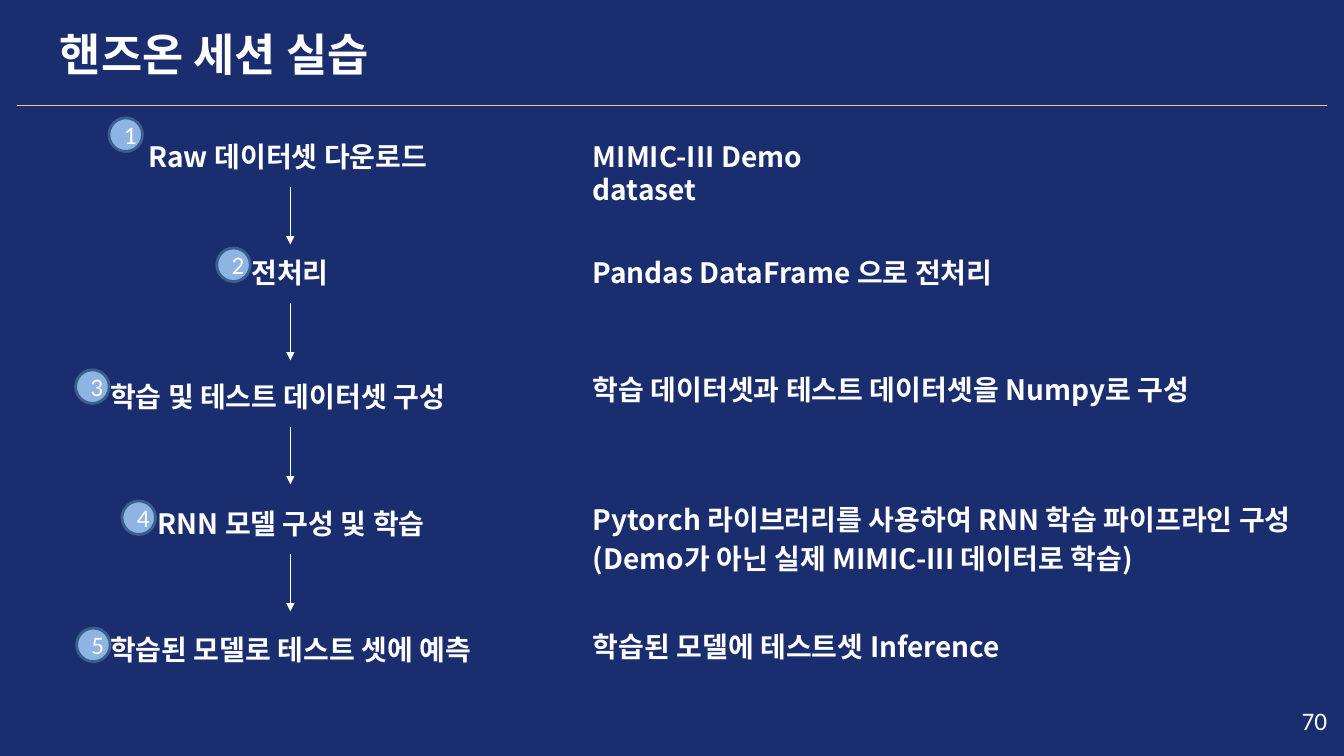
from dataclasses import dataclass

from lxml import etree
from pptx import Presentation
from pptx.dml.color import RGBColor
from pptx.enum import shapes, text
from pptx.oxml import ns
from pptx.util import Pt


@dataclass(frozen=True)
class Theme:
    navy: str = "1A2D6F"
    white: str = "FFFFFF"
    rule: str = "FAC090"
    badge: str = "8EB4E3"
    badge_edge: str = "3A5F8C"
    heading_font: str = "Noto Sans CJK KR"
    number_font: str = "Calibri"
    title_size: int = 32
    body_size: int = 20
    number_size: int = 18


@dataclass(frozen=True)
class Box:
    left: float
    top: float
    width: float
    height: float

    def lengths(self):
        return Pt(self.left), Pt(self.top), Pt(self.width), Pt(self.height)


@dataclass(frozen=True)
class Step:
    top: float
    label: str
    label_left: float
    label_width: float
    badge_left: float
    badge_top: float
    detail_top: float
    details: tuple  # (wording, width) of each line


THEME = Theme()
LINE_HEIGHT = 25.2
DETAIL_LEFT, DETAIL_PITCH = 422.6, 28
ARROW_X, ARROW_DROP, ARROW_LENGTH = 207.4, 35, 41
BADGE_SIZE = 24

STEPS = (
    Step(98.6, "Raw 데이터셋 다운로드", 105.1, 228, 77.8, 84.2, 98.6,
         (("MIMIC-III Demo dataset", 228),)),
    Step(181.4, "전처리", 178.6, 81.4, 154.8, 177.1, 181.4,
         (("Pandas DataFrame 으로 전처리", 294),)),
    Step(270, "학습 및 테스트 데이터셋 구성", 77.8, 258, 54, 264.2, 265,
         (("학습 데이터셋과 테스트 데이터셋을 Numpy로 구성", 480),)),
    Step(360.7, "RNN 모델 구성 및 학습", 111.6, 258, 87.1, 357.8, 357.8,
         (("Pytorch 라이브러리를 사용하여 RNN 학습 파이프라인 구성", 540),
          ("(Demo가 아닌 실제 MIMIC-III 데이터로 학습)", 480))),
    Step(450.7, "학습된 모델로 테스트 셋에 예측", 77.8, 330, 54.7, 448.6, 448.6,
         (("학습된 모델에 테스트셋 Inference", 306),)),
)


def color(value):
    return RGBColor.from_string(value)


def style_runs(para, font_name, size, bold=False):
    for span in para.runs:
        span.font.name = font_name
        span.font.size = Pt(size)
        span.font.bold = bold
        span.font.color.rgb = color(THEME.white)
        east_asian = etree.SubElement(span.font._element, ns.qn("a:ea"))
        east_asian.set("typeface", font_name)


def fill_heading(shape, wording, size):
    """Bold Korean text set close to the top left of its box."""
    frame = shape.text_frame
    frame.text = wording
    frame.word_wrap = True
    frame.auto_size = text.MSO_AUTO_SIZE.SHAPE_TO_FIT_TEXT
    frame.vertical_anchor = text.MSO_ANCHOR.TOP
    frame.margin_right = frame.margin_bottom = 0
    frame.margin_left = frame.margin_top = Pt(0.9)
    para = frame.paragraphs[0]
    para.alignment = text.PP_ALIGN.LEFT
    para.space_before = Pt(1.1)
    style_runs(para, THEME.heading_font, size, bold=True)


def add_line(page, start, end, line_color, arrow=False):
    line = page.shapes.add_connector(
        shapes.MSO_CONNECTOR.STRAIGHT, *map(Pt, start + end))
    line.line.color.rgb = color(line_color)
    line.line.width = Pt(0.75)
    if arrow:
        head = etree.SubElement(line.line._get_or_add_ln(), ns.qn("a:tailEnd"))
        head.set("type", "triangle")
    etree.SubElement(line._element.spPr, ns.qn("a:effectLst"))


def add_header(page, box):
    title = page.shapes.title
    title.left, title.top, title.width, title.height = Box(
        box.left + 29.8, box.top + 18, 240, 39.6).lengths()
    fill_heading(title, "핸즈온 세션 실습", THEME.title_size)
    bottom = box.top + box.height
    add_line(page, (box.left, bottom), (box.left + box.width, bottom), THEME.rule)


def add_label(page, box, wording):
    label = page.shapes.add_textbox(*box.lengths())
    fill_heading(label, wording, THEME.body_size)


def add_badge(page, box, number):
    badge = page.shapes.add_shape(shapes.MSO_SHAPE.OVAL, *box.lengths())
    badge.shadow.inherit = False
    badge.fill.solid()
    badge.fill.fore_color.rgb = color(THEME.badge)
    badge.line.color.rgb = color(THEME.badge_edge)
    badge.line.width = Pt(2)
    badge.text_frame.text = str(number)
    badge.text_frame.vertical_anchor = text.MSO_ANCHOR.MIDDLE
    para = badge.text_frame.paragraphs[0]
    para.alignment = text.PP_ALIGN.CENTER
    style_runs(para, THEME.number_font, THEME.number_size)


def add_flow(page, box):
    """Numbered steps on the left, their details on the right."""
    for number, step in enumerate(STEPS, start=1):
        add_label(page, Box(box.left + step.label_left, box.top + step.top,
                            step.label_width, LINE_HEIGHT), step.label)
        add_badge(page, Box(box.left + step.badge_left, box.top + step.badge_top,
                            BADGE_SIZE, BADGE_SIZE), number)
        for row, (wording, width) in enumerate(step.details):
            top = box.top + step.detail_top + row * DETAIL_PITCH
            add_label(page, Box(box.left + DETAIL_LEFT, top, width, LINE_HEIGHT),
                      wording)
        # Arrow to the next step
        if number < len(STEPS):
            x, top = box.left + ARROW_X, box.top + step.top + ARROW_DROP
            add_line(page, (x, top), (x, top + ARROW_LENGTH), THEME.white, arrow=True)


def add_page_number(page, box):
    corner = page.shapes.add_textbox(*box.lengths())
    frame = corner.text_frame
    frame.text = "70"
    frame.word_wrap = True
    frame.margin_left = frame.margin_top = 0
    frame.margin_right = frame.margin_bottom = 0
    para = frame.paragraphs[0]
    para.alignment = text.PP_ALIGN.RIGHT
    style_runs(para, THEME.number_font, THEME.number_size)


def main():
    deck = Presentation()
    deck.slide_width, deck.slide_height = Pt(960), Pt(540)
    page = deck.slides.add_slide(deck.slide_layouts.get_by_name("Title Only"))
    page.background.fill.solid()
    page.background.fill.fore_color.rgb = color(THEME.navy)

    add_header(page, Box(12, 0, 936, 75.6))
    add_flow(page, Box(0, 0, 960, 540))
    add_page_number(page, Box(924, 504, 24, 21.6))
    deck.save("out.pptx")


if __name__ == "__main__":
    main()
